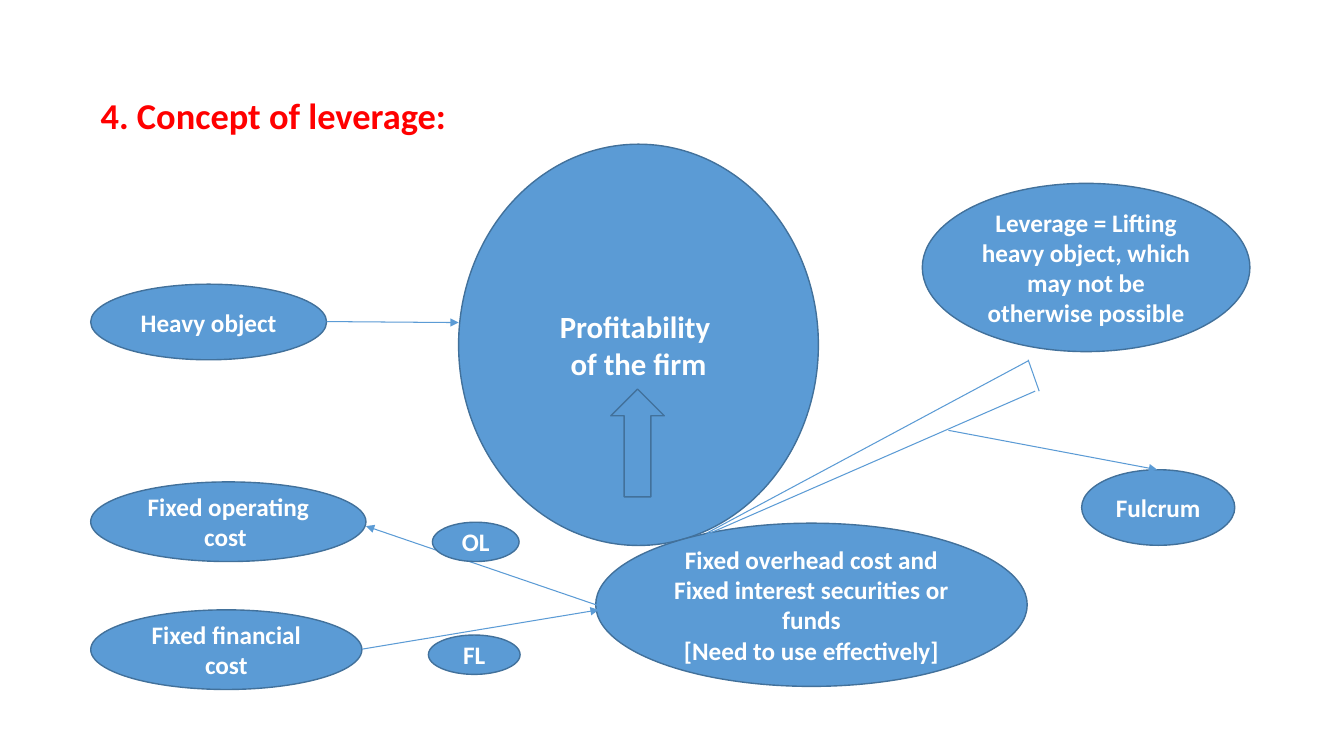
from typing import NamedTuple

import pptx
import pptx.dml.color
import pptx.enum.shapes
import pptx.enum.text
import pptx.util
from lxml import etree
from pptx.oxml.ns import qn

Pt = pptx.util.Pt
Kind = pptx.enum.shapes.MSO_SHAPE
Align = pptx.enum.text.PP_ALIGN
Anchor = pptx.enum.text.MSO_ANCHOR

FONT = "Calibri"
COLORS = {"fill": "5B9BD5", "edge": "42719B", "text": "FFFFFF", "title": "FF0000"}


class Node(NamedTuple):
    left: float
    top: float
    width: float
    height: float
    lines: tuple[str, ...] = ()
    size: float = 18
    kind: Kind = Kind.OVAL


class Link(NamedTuple):
    x1: float
    y1: float
    x2: float
    y2: float
    arrow: bool = False


NODES = [
    Node(327.6, 103, 257, 286.6, ("Profitability ", "of the firm"), 22),
    Node(425.5, 373.7, 308.2, 116.6,
         ("Fixed overhead cost and Fixed interest securities or funds",
          "[Need to use effectively]")),
    Node(64.8, 203, 168.5, 54, ("Heavy object",)),
    Node(658.8, 131, 234, 120.2,
         ("Leverage = Lifting heavy object, which may not be otherwise possible",)),
    Node(772.6, 335.5, 109.4, 54, ("Fulcrum",)),
    Node(64.8, 344.2, 196.6, 56.9, ("Fixed operating cost ",)),
    Node(64.8, 435.6, 193.7, 56.9, ("Fixed financial cost",)),
]
LEVER = [
    Link(504.7, 380.9, 734.4, 257.8),
    Link(739.4, 279.4, 493.9, 386.6),
    Link(734.4, 257, 742.3, 279.4),
]
ARROWS = [
    Link(233.3, 229.7, 327.6, 230.4, True),
    Link(677.5, 307.4, 826.6, 335.5, True),
    Link(427.7, 432.7, 261.4, 375.8, True),
    Link(258.5, 463.7, 427.7, 435.6, True),
]
TAGS = [
    Node(308.9, 373, 61.9, 28.1, ("OL",)),
    Node(306, 453.6, 65.5, 28.1, ("FL",)),
    Node(436.3, 277.9, 38.2, 77, kind=Kind.UP_ARROW),
]


def color(name: str) -> pptx.dml.color.RGBColor:
    return pptx.dml.color.RGBColor.from_string(COLORS[name])


def write(para, text: str, size: float, ink: str) -> None:
    run = para.add_run()
    run.text = text
    run.font.name = FONT
    run.font.size = Pt(size)
    run.font.bold = True
    run.font.color.rgb = color(ink)


def add_title(slide, text: str) -> None:
    box = slide.shapes.add_textbox(Pt(64.8), Pt(66.2), Pt(828), Pt(426.2))
    box.text_frame.word_wrap = True
    para = box.text_frame.paragraphs[0]
    para.line_spacing = 0.9
    write(para, text, 26, "title")


def add_node(slide, node: Node) -> None:
    shape = slide.shapes.add_shape(
        node.kind, Pt(node.left), Pt(node.top), Pt(node.width), Pt(node.height))
    shape.shadow.inherit = False
    shape.fill.solid()
    shape.fill.fore_color.rgb = color("fill")
    shape.line.color.rgb = color("edge")
    shape.line.width = Pt(1)
    frame = shape.text_frame
    frame.word_wrap = True
    frame.vertical_anchor = Anchor.MIDDLE
    for index, text in enumerate(node.lines):
        para = frame.add_paragraph() if index else frame.paragraphs[0]
        para.alignment = Align.CENTER
        write(para, text, node.size, "text")


def add_link(slide, link: Link) -> None:
    line = slide.shapes.add_connector(
        pptx.enum.shapes.MSO_CONNECTOR.STRAIGHT,
        Pt(link.x1), Pt(link.y1), Pt(link.x2), Pt(link.y2))
    line.line.color.rgb = color("fill")
    line.line.width = Pt(0.75)
    if link.arrow:
        etree.SubElement(line.line._get_or_add_ln(), qn("a:tailEnd"), type="triangle")
    etree.SubElement(line._element.spPr, qn("a:effectLst"))


def main() -> None:
    deck = pptx.Presentation()
    deck.slide_width, deck.slide_height = Pt(960), Pt(540)
    slide = deck.slides.add_slide(deck.slide_layouts[6])
    add_title(slide, "4. Concept of leverage:")
    for node in NODES:
        add_node(slide, node)
    for link in LEVER + ARROWS:
        add_link(slide, link)
    for tag in TAGS:
        add_node(slide, tag)
    deck.save("out.pptx")


if __name__ == "__main__":
    main()
